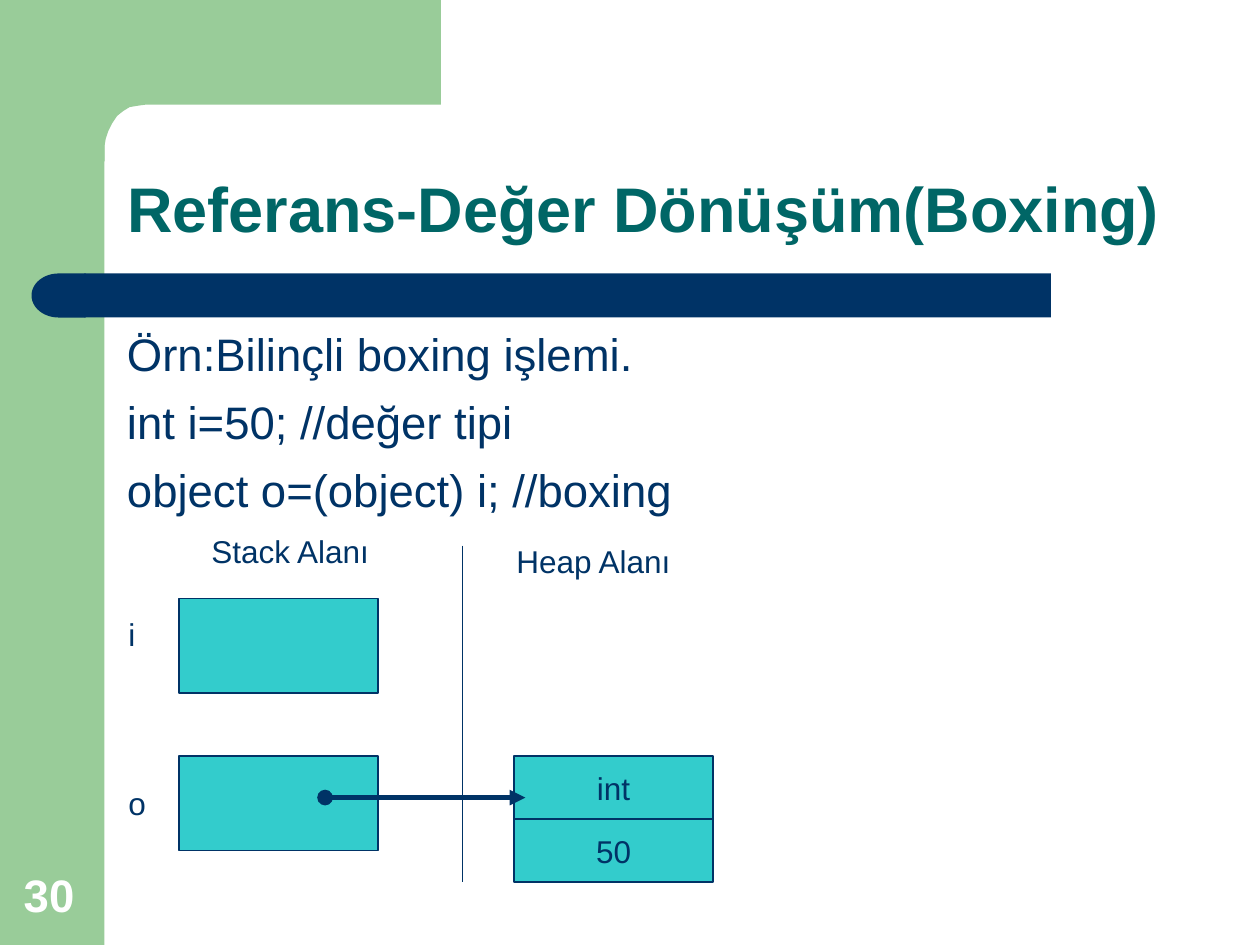
from lxml import etree
from pptx import Presentation
from pptx.dml.color import RGBColor
from pptx.enum.shapes import MSO_CONNECTOR, MSO_SHAPE
from pptx.enum.text import MSO_ANCHOR, PP_ALIGN
from pptx.oxml.ns import qn
from pptx.util import Inches, Pt

GREEN = RGBColor(0x99, 0xCC, 0x99)
NAVY = RGBColor(0x00, 0x33, 0x66)
TEAL = RGBColor(0x00, 0x66, 0x66)
TURQUOISE = RGBColor(0x33, 0xCC, 0xCC)
WHITE = RGBColor(0xFF, 0xFF, 0xFF)
RECT, DELAY = MSO_SHAPE.RECTANGLE, MSO_SHAPE.FLOWCHART_DELAY
STRAIGHT = MSO_CONNECTOR.STRAIGHT
TOP, MIDDLE, BOTTOM = MSO_ANCHOR.TOP, MSO_ANCHOR.MIDDLE, MSO_ANCHOR.BOTTOM
LEFT, CENTER, JUSTIFY = PP_ALIGN.LEFT, PP_ALIGN.CENTER, PP_ALIGN.JUSTIFY


def add_box(kind, at, fill, line=None):
    s = slide.shapes.add_shape(kind, *[Inches(v) for v in at])
    s.shadow.inherit = False
    s.fill.solid()
    s.fill.fore_color.rgb = fill
    if line is None:
        s.line.fill.background()
    else:
        s.line.color.rgb = line
        s.line.width = Pt(0.75)
    return s


def write(s, lines, size, color, bold=False, anchor=TOP, wrap=True, align=LEFT, **spacing):
    tf = s.text_frame
    tf.word_wrap = wrap
    tf.vertical_anchor = anchor
    for i, text in enumerate(lines):
        p = tf.paragraphs[0] if i == 0 else tf.add_paragraph()
        p.alignment = align
        for name, value in spacing.items():
            if i or name != "space_before":
                setattr(p, name, value)
        r = p.add_run()
        r.text = text
        font = {"name": "Arial", "size": Pt(size), "bold": bold}
        for name, value in font.items():
            setattr(r.font, name, value)
        r.font.color.rgb = color


prs = Presentation()
prs.slide_width, prs.slide_height = Inches(10), Inches(7.5)
slide = prs.slides.add_slide(prs.slide_layouts[6])

# Green side band and top corner
add_box(RECT, (0, 0, 0.83, 7.5), GREEN)
corner = [(3.5, 0.83), (1.16, 0.83), (1.09, 0.84), (1.03, 0.85), (0.98, 0.88),
          (0.93, 0.92), (0.89, 0.98), (0.86, 1.04), (0.84, 1.1), (0.83, 1.16),
          (0.83, 1.28), (0.5, 1.28), (0.5, 0)]
fb = slide.shapes.build_freeform(Inches(3.5), 0)
fb.add_line_segments([(Inches(x), Inches(y)) for x, y in corner], close=True)
s = fb.convert_to_shape()
s.shadow.inherit = False
s.fill.solid()
s.fill.fore_color.rgb = GREEN
s.line.fill.background()

# Navy bar with a rounded left end
add_box(RECT, (0.67, 2.17, 7.67, 0.35), NAVY)
s = add_box(DELAY, (0.25, 2.17, 0.43, 0.35), NAVY)
s.rotation = 180

# Stack cells and heap cells
for y in (4.75, 6):
    add_box(RECT, (1.42, y, 1.58, 0.75), TURQUOISE, NAVY)
for y, text in ((6, "int"), (6.5, "50")):
    s = add_box(RECT, (4.08, y, 1.58, 0.5), TURQUOISE, NAVY)
    write(s, [text], 18, NAVY, anchor=MIDDLE, wrap=False, align=CENTER)

# Divider and reference arrow
for x1, y1, x2, y2, width, arrow in ((3.67, 4.33, 3.67, 7, 0.75, False),
                                     (2.58, 6.33, 4.17, 6.33, 3, True)):
    s = slide.shapes.add_connector(STRAIGHT, *[Inches(v) for v in (x1, y1, x2, y2)])
    s.line.color.rgb = NAVY
    s.line.width = Pt(width)
    if arrow:
        ln = s.line._get_or_add_ln()
        etree.SubElement(ln, qn("a:headEnd"), type="oval")
        etree.SubElement(ln, qn("a:tailEnd"), type="triangle")
    etree.SubElement(s._element.spPr, qn("a:effectLst"))

# Title, code, slide number and labels
code = ["Örn:Bilinçli boxing işlemi.", "int i=50; //değer tipi",
        "object o=(object) i; //boxing"]
texts = [
    ((0.09, 6.83, 0.64, 0.53), ["30"], 26, WHITE, {"bold": True, "anchor": BOTTOM}),
    ((0.91, 0.91, 8.51, 1.09), ["Referans-Değer Dönüşüm(Boxing)"], 36, TEAL,
     {"bold": True, "anchor": BOTTOM, "line_spacing": 0.9}),
    ((0.91, 2.54, 9, 1.8), code, 26, NAVY,
     {"align": JUSTIFY, "space_before": Pt(7.5)}),
    ((1.58, 4.17, 1.5, 0.4), ["Stack Alanı"], 18, NAVY, {}),
    ((4, 4.25, 1.5, 0.4), ["Heap Alanı"], 18, NAVY, {}),
    ((0.92, 4.83, 0.42, 0.4), ["i"], 18, NAVY, {}),
    ((0.92, 6.17, 0.42, 0.4), ["o"], 18, NAVY, {}),
]
for at, lines, size, color, options in texts:
    s = slide.shapes.add_textbox(*[Inches(v) for v in at])
    write(s, lines, size, color, **options)

prs.save("out.pptx")
